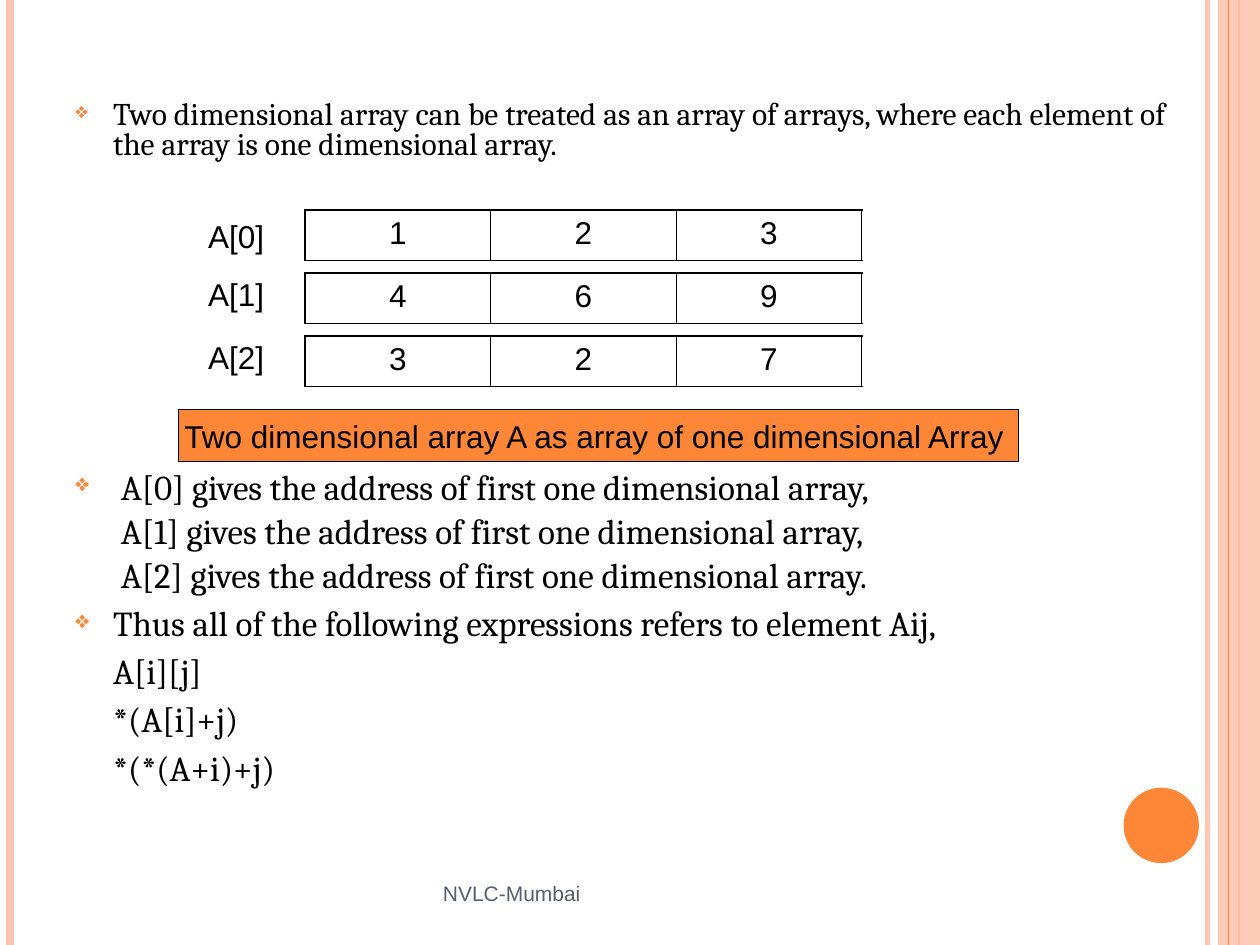
from lxml.etree import SubElement
from pptx import Presentation
from pptx.dml.color import RGBColor
from pptx.enum.shapes import MSO_CONNECTOR, MSO_SHAPE
from pptx.enum.text import MSO_ANCHOR, PP_ALIGN
from pptx.oxml.ns import qn
from pptx.util import Cm, Pt

COLORS = {"orange": "FE8637", "peach": "FEC3AE", "black": "000000", "slate": "575F6D"}
SLIDE_WIDTH, SLIDE_HEIGHT = 25.4, 19.05
HANG = 0.76
CELL_WIDTH, ROW_HEIGHT, ROW_STEP = 3.74, 1.02, 1.27
ARRAY_LEFT, ARRAY_TOP = 6.15, 4.23
OUTER_BORDER, INNER_BORDER = 1.08, 0.45

STRIPES = [(24.34, "peach", 3, 93), (0.21, "peach", 4.5, 100), (24.98, "orange", 1.5, 100)]
THIN_STRIPE = (24.77, "orange", 0.75, 100)
ARRAY_ROWS = [
    ("A[0]", 4.23, 1.06, (1, 2, 3)),
    ("A[1]", 5.29, 1.27, (4, 6, 9)),
    ("A[2]", 6.56, 1.27, (3, 2, 7)),
]
INTRO = [(
    "Two dimensional array can be treated as an array of arrays, "
    "where each element of the array is one dimensional array.", True, 0.8,
)]
EXPLANATION = [
    (" A[0] gives the address of first one dimensional array,", True, 0.8),
    (" A[1] gives the address of first one dimensional array,", False, 0.8),
    (" A[2] gives the address of first one dimensional array.", False, 0.8),
    ("Thus all of the following expressions refers to element Aij,", True, 0.9),
    ("A[i][j]", False, 0.9),
    ("*(A[i]+j)", False, 0.9),
    ("*(*(A+i)+j)", False, 0.9),
]


def rgb(name):
    """Return the palette colour called name."""
    return RGBColor.from_string(COLORS[name])


def set_opacity(holder, percent):
    """Make the solid colour inside holder partly transparent."""
    color = next(holder.iter(qn("a:srgbClr")))
    SubElement(color, qn("a:alpha"), val=str(percent * 1000))


def add_run(paragraph, text, size, font="Arial", color="black"):
    """Add one formatted run to a paragraph."""
    run = paragraph.add_run()
    run.text = text
    run.font.size = Pt(size)
    run.font.name = font
    run.font.color.rgb = rgb(color)


def add_stripe(slide, x, color, width, opacity):
    """Draw a vertical line over the full slide height."""
    stripe = slide.shapes.add_connector(
        MSO_CONNECTOR.STRAIGHT, Cm(x), Cm(0), Cm(x), Cm(SLIDE_HEIGHT))
    stripe.line.color.rgb = rgb(color)
    stripe.line.width = Pt(width)
    properties = stripe._element.spPr
    if opacity < 100:
        set_opacity(properties, opacity)
    SubElement(properties, qn("a:effectLst"))


def add_filled(slide, preset, box, color):
    """Add a preset shape with a plain fill and no outline."""
    shape = slide.shapes.add_shape(preset, *map(Cm, box))
    shape.shadow.inherit = False
    shape.fill.solid()
    shape.fill.fore_color.rgb = rgb(color)
    shape.line.fill.background()
    return shape


def add_frame(slide):
    """Draw the stripes, the side band and the disc at the slide edges."""
    for stripe in STRIPES:
        add_stripe(slide, *stripe)
    band = add_filled(slide, MSO_SHAPE.RECTANGLE, (24.55, 0, 0.85, SLIDE_HEIGHT), "peach")
    set_opacity(band._element.spPr, 87)
    add_stripe(slide, *THIN_STRIPE)
    add_filled(slide, MSO_SHAPE.OVAL, (22.65, 15.88, 1.52, 1.52), "orange")


def indent(paragraph, bulleted):
    """Set the text indent and, if wanted, the hanging diamond bullet."""
    properties = paragraph._p.get_or_add_pPr()
    properties.set("marL", str(Cm(HANG)))
    properties.set("indent", str(-Cm(HANG) if bulleted else 0))
    if bulleted:
        color = SubElement(properties, qn("a:buClr"))
        SubElement(color, qn("a:srgbClr"), val=COLORS["orange"])
        SubElement(properties, qn("a:buSzPct"), val="70000")
        SubElement(properties, qn("a:buChar"), char="❖")


def add_body(slide, top, height, size, points):
    """Add a block of body text made of (text, bulleted, line spacing)."""
    frame = slide.shapes.add_textbox(Cm(1.27), Cm(top), Cm(23.06), Cm(height)).text_frame
    frame.word_wrap = True
    for index, (text, bulleted, spacing) in enumerate(points):
        paragraph = frame.add_paragraph() if index else frame.paragraphs[0]
        indent(paragraph, bulleted)
        paragraph.line_spacing = spacing
        if index:
            paragraph.space_before = Pt(6)
        add_run(paragraph, text, size, "Cambria")


def fill_middle(shape, text, size=18, color="black", align=PP_ALIGN.CENTER):
    """Write one vertically centred line into a shape and return its frame."""
    frame = shape.text_frame
    frame.word_wrap = False
    frame.vertical_anchor = MSO_ANCHOR.MIDDLE
    frame.paragraphs[0].alignment = align
    add_run(frame.paragraphs[0], text, size, color=color)
    return frame


def add_row_label(slide, label, top, height):
    """Add the name of an inner array, using the full width of its box."""
    box = slide.shapes.add_textbox(Cm(4.02), Cm(top), Cm(1.48), Cm(height))
    frame = fill_middle(box, label)
    frame.margin_left = frame.margin_right = Cm(0)


def add_borders(cell, left, right):
    """Draw the four cell borders; top and bottom are always outer ones."""
    properties = cell._tc.get_or_add_tcPr()
    widths = {"L": left, "R": right, "T": OUTER_BORDER, "B": OUTER_BORDER}
    for side, width in widths.items():
        border = SubElement(properties, qn(f"a:ln{side}"), w=str(Pt(width)))
        fill = SubElement(border, qn("a:solidFill"))
        SubElement(fill, qn("a:srgbClr"), val=COLORS["black"])


def add_array_row(slide, top, values):
    """Add a one-row table that holds one inner array."""
    count = len(values)
    table = slide.shapes.add_table(
        1, count, Cm(ARRAY_LEFT), Cm(top), Cm(CELL_WIDTH * count), Cm(ROW_HEIGHT)).table
    table.first_row = table.horz_banding = False
    for column, value in enumerate(values):
        table.columns[column].width = Cm(CELL_WIDTH)
        cell = table.cell(0, column)
        add_borders(cell, INNER_BORDER if column else OUTER_BORDER,
                    INNER_BORDER if column < count - 1 else OUTER_BORDER)
        cell.fill.background()
        paragraph = cell.text_frame.paragraphs[0]
        paragraph.alignment = PP_ALIGN.CENTER
        add_run(paragraph, str(value), 18)


def add_array(slide):
    """Add the labelled rows of the array and its caption."""
    for index, (label, label_top, label_height, values) in enumerate(ARRAY_ROWS):
        add_array_row(slide, ARRAY_TOP + index * ROW_STEP, values)
        add_row_label(slide, label, label_top, label_height)
    caption = add_filled(slide, MSO_SHAPE.RECTANGLE, (3.6, 8.25, 16.93, 1.06), "orange")
    caption.line.color.rgb = rgb("black")
    caption.line.width = Pt(0.75)
    fill_middle(caption, "Two dimensional array A as array of one dimensional Array ")


def main():
    """Build the slide and save it."""
    deck = Presentation()
    deck.slide_width, deck.slide_height = Cm(SLIDE_WIDTH), Cm(SLIDE_HEIGHT)
    slide = deck.slides.add_slide(deck.slide_layouts[6])
    add_frame(slide)
    add_body(slide, 1.92, 1.6, 18, INTRO)
    add_body(slide, 9.42, 7.6, 20, EXPLANATION)
    add_array(slide)
    footer = slide.shapes.add_textbox(Cm(8.68), Cm(17.35), Cm(8.05), Cm(1.32))
    footer_frame = fill_middle(footer, "NVLC-Mumbai", 12, "slate", PP_ALIGN.LEFT)
    footer_frame.word_wrap = True
    deck.save("out.pptx")


if __name__ == "__main__":
    main()
